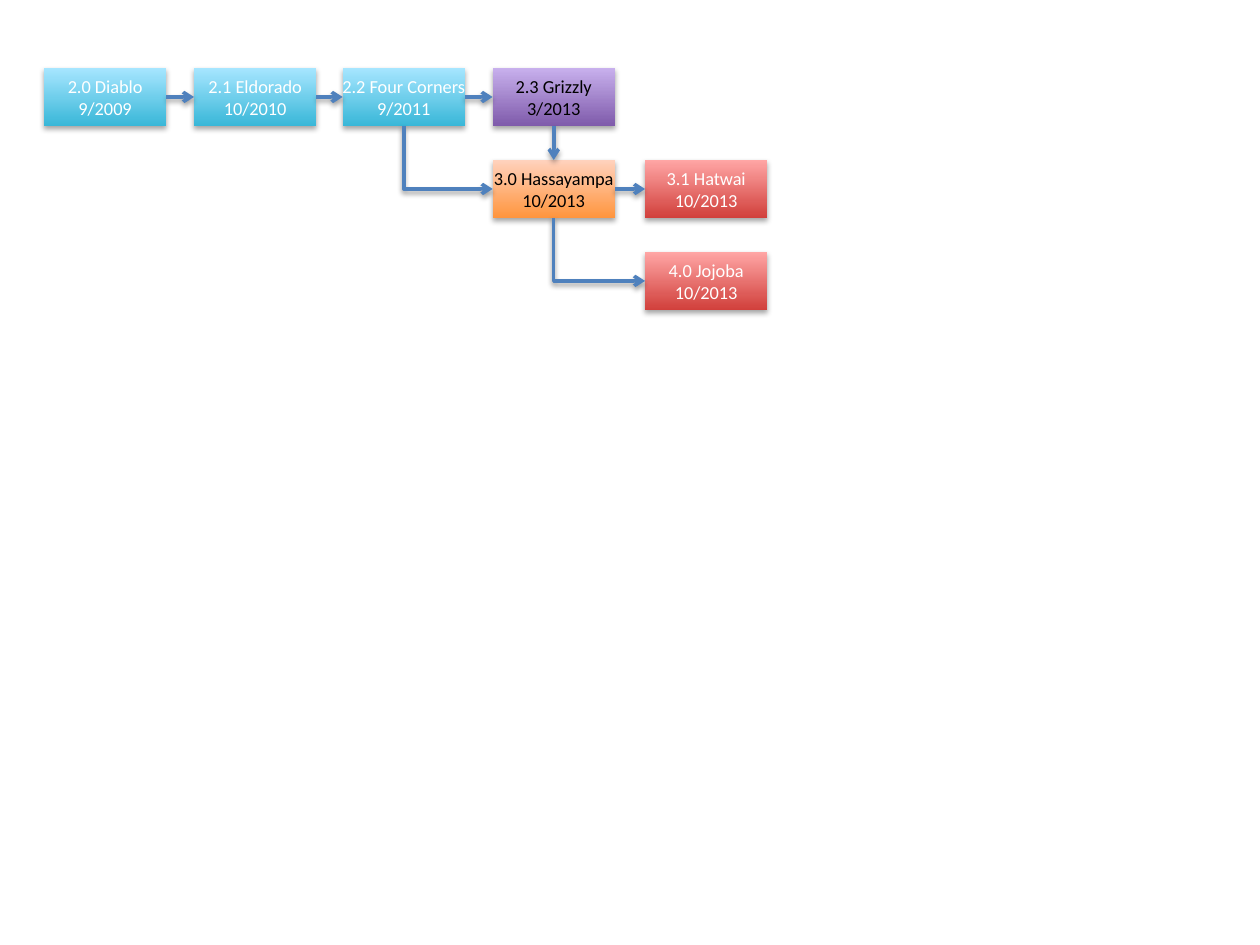
from dataclasses import dataclass

from lxml import etree
from pptx import Presentation
from pptx import util as u
from pptx.dml.color import RGBColor
from pptx.enum import shapes, text
from pptx.oxml import ns

COLORS = {
    "blue": "39B7D8", "blue_light": "A7E6FF",
    "purple": "7F5BAB", "purple_light": "C8B0ED",
    "orange": "FF953E", "orange_light": "FFD2BD",
    "red": "D1403C", "red_light": "FFA6A5",
    "arrow": "4F81BD", "white": "FFFFFF", "black": "000000",
}
COLUMN_LEFTS = (0.35, 1.54, 2.72, 3.91, 5.12)
FIRST_TOP, ROW_PITCH = 0.54, 0.73
BOX_WIDTH, BOX_HEIGHT = 0.97, 0.46
TOP, LEFT, BOTTOM, RIGHT = range(4)


@dataclass(frozen=True)
class Release:
    name: str
    date: str
    column: int
    row: int
    fill: str
    ink: str = "white"


@dataclass(frozen=True)
class Arrow:
    start: str
    start_site: int
    end: str
    end_site: int = LEFT
    bent: bool = False


RELEASES = (
    Release("2.0 Diablo", "9/2009", 0, 0, "blue"),
    Release("2.1 Eldorado", "10/2010", 1, 0, "blue"),
    Release("2.2 Four Corners", "9/2011", 2, 0, "blue"),
    Release("2.3 Grizzly", "3/2013", 3, 0, "purple", "black"),
    Release("3.0 Hassayampa", "10/2013", 3, 1, "orange", "black"),
    Release("3.1 Hatwai", "10/2013", 4, 1, "red"),
    Release("4.0 Jojoba", "10/2013", 4, 2, "red"),
)
ARROWS = (
    Arrow("2.0", RIGHT, "2.1"),
    Arrow("2.1", RIGHT, "2.2"),
    Arrow("2.2", RIGHT, "2.3"),
    Arrow("2.2", BOTTOM, "3.0", bent=True),
    Arrow("2.3", BOTTOM, "3.0", TOP),
    Arrow("3.0", RIGHT, "3.1"),
    Arrow("3.0", BOTTOM, "4.0", bent=True),
)


def rgb(name: str) -> RGBColor:
    return RGBColor.from_string(COLORS[name])


def add_shadow(effects, distance: float, opacity: int) -> None:
    shadow = etree.SubElement(
        effects, ns.qn("a:outerShdw"), blurRad=str(u.Pt(3.1)),
        dist=str(u.Pt(distance)), dir="5400000", rotWithShape="0")
    color = etree.SubElement(shadow, ns.qn("a:srgbClr"), val=COLORS["black"])
    etree.SubElement(color, ns.qn("a:alpha"), val=str(opacity * 1000))


def write(para, words: str, *, size: float = 10.5, font: str = "Calibri",
          ink: str = "white", align=text.PP_ALIGN.CENTER) -> None:
    para.alignment = align
    span = para.add_run()
    span.text = words
    span.font.size = u.Pt(size)
    span.font.name = font
    span.font.color.rgb = rgb(ink)


def add_release(page, release: Release):
    box = page.shapes.add_shape(
        shapes.MSO_SHAPE.RECTANGLE,
        u.Inches(COLUMN_LEFTS[release.column]),
        u.Inches(FIRST_TOP + ROW_PITCH * release.row),
        u.Inches(BOX_WIDTH), u.Inches(BOX_HEIGHT))
    box.fill.gradient()
    box.fill.gradient_angle = 90
    for stop, position, color in zip(
            box.fill.gradient_stops, (0, 1), (release.fill, f"{release.fill}_light")):
        stop.position = position
        stop.color.rgb = rgb(color)
    box.line.fill.background()
    box.shadow.inherit = False
    add_shadow(box.element.spPr.find(ns.qn("a:effectLst")), 1.8, 35)

    frame = box.text_frame
    frame.word_wrap = False
    frame.vertical_anchor = text.MSO_ANCHOR.MIDDLE
    frame.margin_left = frame.margin_right = frame.margin_top = frame.margin_bottom = 0
    write(frame.paragraphs[0], release.name, ink=release.ink)
    write(frame.add_paragraph(), release.date, ink=release.ink)
    return box


def bend_down_then_right(line) -> None:
    width, height = line.width, line.height
    line.left += (width - height) // 2
    line.top += (height - width) // 2
    line.width, line.height = height, width
    properties = line.element.spPr
    frame = properties.find(ns.qn("a:xfrm"))
    frame.set("rot", "16200000")
    frame.set("flipH", "1")
    properties.find(ns.qn("a:prstGeom")).set("prst", "bentConnector2")


def add_arrow(page, arrow: Arrow, boxes: dict) -> None:
    kind = shapes.MSO_CONNECTOR.ELBOW if arrow.bent else shapes.MSO_CONNECTOR.STRAIGHT
    line = page.shapes.add_connector(kind, 0, 0, 0, 0)
    line.begin_connect(boxes[arrow.start], arrow.start_site)
    line.end_connect(boxes[arrow.end], arrow.end_site)
    if arrow.bent:
        bend_down_then_right(line)
    line.line.color.rgb = rgb("arrow")
    line.line.width = u.Pt(2)
    properties = line.element.spPr
    etree.SubElement(properties.find(ns.qn("a:ln")), ns.qn("a:tailEnd"), type="arrow")
    add_shadow(etree.SubElement(properties, ns.qn("a:effectLst")), 1.6, 38)


def main() -> None:
    deck = Presentation()
    deck.slide_width, deck.slide_height = u.Inches(10), u.Inches(7.5)
    page = deck.slides.add_slide(deck.slide_layouts[6])
    boxes = {release.name.split()[0]: add_release(page, release) for release in RELEASES}
    for arrow in ARROWS:
        add_arrow(page, arrow, boxes)
    deck.save("out.pptx")


main()
